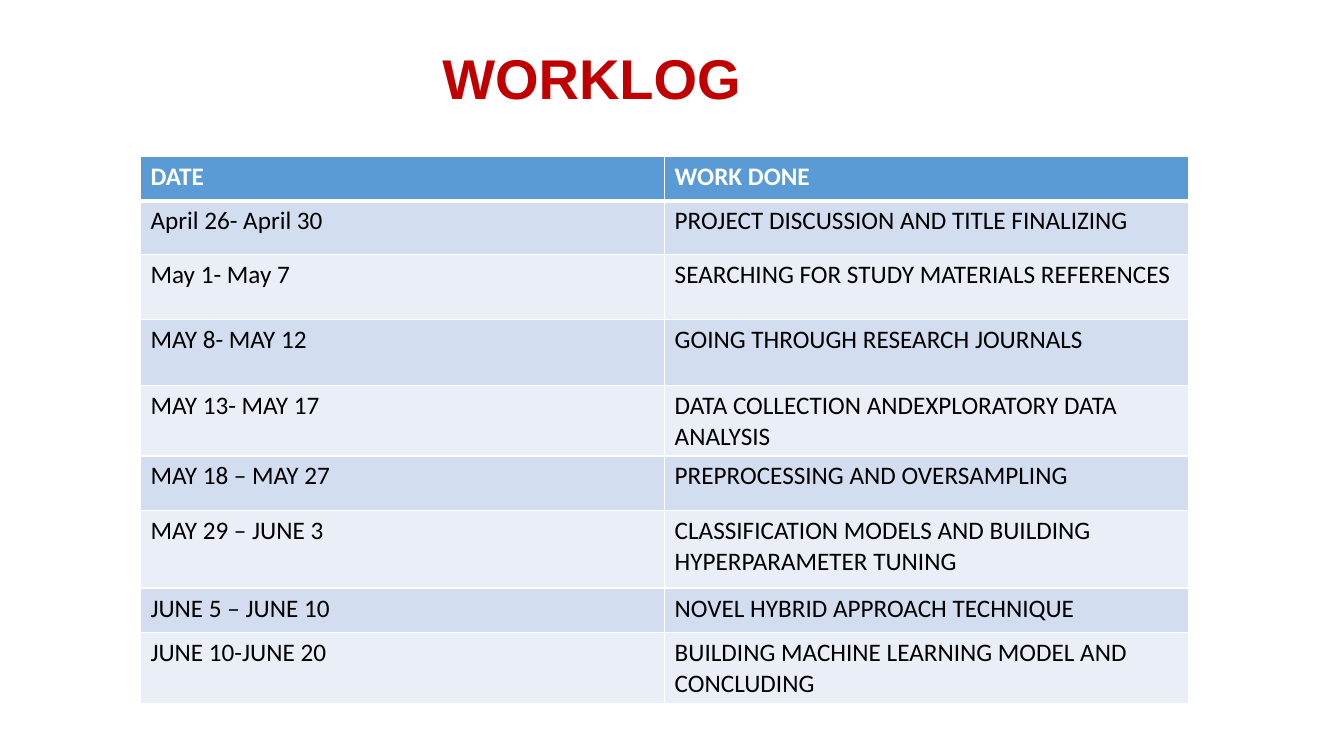
from lxml import etree
from pptx import Presentation
from pptx import util as u
from pptx.dml.color import RGBColor
from pptx.enum import text
from pptx.oxml.ns import qn

RED = RGBColor(0xC0, 0x00, 0x00)
WHITE = RGBColor(0xFF, 0xFF, 0xFF)
BLACK = RGBColor(0x00, 0x00, 0x00)
BLUE = RGBColor(0x5B, 0x9B, 0xD5)
BANDS = [RGBColor(0xEA, 0xEF, 0xF7), RGBColor(0xD2, 0xDE, 0xEF)]

WORKLOG = [
    ("DATE", "WORK DONE", 1.12),
    ("April 26- April 30", "PROJECT DISCUSSION AND TITLE FINALIZING", 1.35),
    ("May 1- May 7", "SEARCHING FOR STUDY MATERIALS REFERENCES", 1.65),
    ("MAY 8- MAY 12", "GOING THROUGH RESEARCH JOURNALS", 1.65),
    ("MAY 13- MAY 17", "DATA COLLECTION ANDEXPLORATORY DATA ANALYSIS", 1.65),
    ("MAY 18 – MAY 27", "PREPROCESSING AND OVERSAMPLING", 1.37),
    ("MAY 29 – JUNE 3", "CLASSIFICATION MODELS AND BUILDING HYPERPARAMETER TUNING", 1.96),
    ("JUNE 5 – JUNE 10", "NOVEL HYBRID APPROACH TECHNIQUE", 1.12),
    ("JUNE 10-JUNE 20", "BUILDING MACHINE LEARNING MODEL AND CONCLUDING", 1.12),
]


def write(frame, words, *, size=18, font="Calibri", color=BLACK, bold=False, spacing=1.0):
    frame.word_wrap = True
    paragraph = frame.paragraphs[0]
    paragraph.alignment = text.PP_ALIGN.LEFT
    paragraph.line_spacing = spacing
    run = paragraph.add_run()
    run.text = words
    run.font.size = u.Pt(size)
    run.font.name = font
    run.font.bold = bold
    run.font.color.rgb = color


def set_borders(cell, top, bottom):
    properties = cell._tc.get_or_add_tcPr()
    sides = [("a:lnL", 1), ("a:lnR", 1), ("a:lnT", top), ("a:lnB", bottom)]
    for position, (side, width) in enumerate(sides):
        line = etree.Element(qn(side), w=str(u.Pt(width)))
        fill = etree.SubElement(line, qn("a:solidFill"))
        etree.SubElement(fill, qn("a:srgbClr"), val=str(WHITE))
        properties.insert(position, line)


def add_title(slide, left, top, width, height):
    shape = slide.shapes.add_textbox(left, top, width, height)
    shape.text_frame.vertical_anchor = text.MSO_ANCHOR.MIDDLE
    write(shape.text_frame, "WORKLOG", size=40, font="Arial", color=RED, bold=True, spacing=0.9)


def add_worklog(slide, left, top, width, height):
    table = slide.shapes.add_table(len(WORKLOG), 2, left, top, width, height).table
    for column in table.columns:
        column.width = width // 2
    for index, (date, work, row_height) in enumerate(WORKLOG):
        header = index == 0
        table.rows[index].height = u.Cm(row_height)
        for cell, words in zip(table.rows[index].cells, (date, work)):
            write(cell.text_frame, words, color=WHITE if header else BLACK, bold=header)
            cell.fill.solid()
            cell.fill.fore_color.rgb = BLUE if header else BANDS[index % 2]
            set_borders(cell, top=3 if index == 1 else 1, bottom=3 if header else 1)


def main():
    presentation = Presentation()
    presentation.slide_width = u.Cm(33.87)
    presentation.slide_height = u.Cm(19.05)
    slide = presentation.slides.add_slide(presentation.slide_layouts[6])
    add_title(slide, u.Cm(10.9), u.Cm(1.07), u.Cm(22.97), u.Cm(1.96))
    add_worklog(slide, u.Cm(3.54), u.Cm(3.94), u.Cm(26.42), u.Cm(13))
    presentation.save("out.pptx")


if __name__ == "__main__":
    main()
